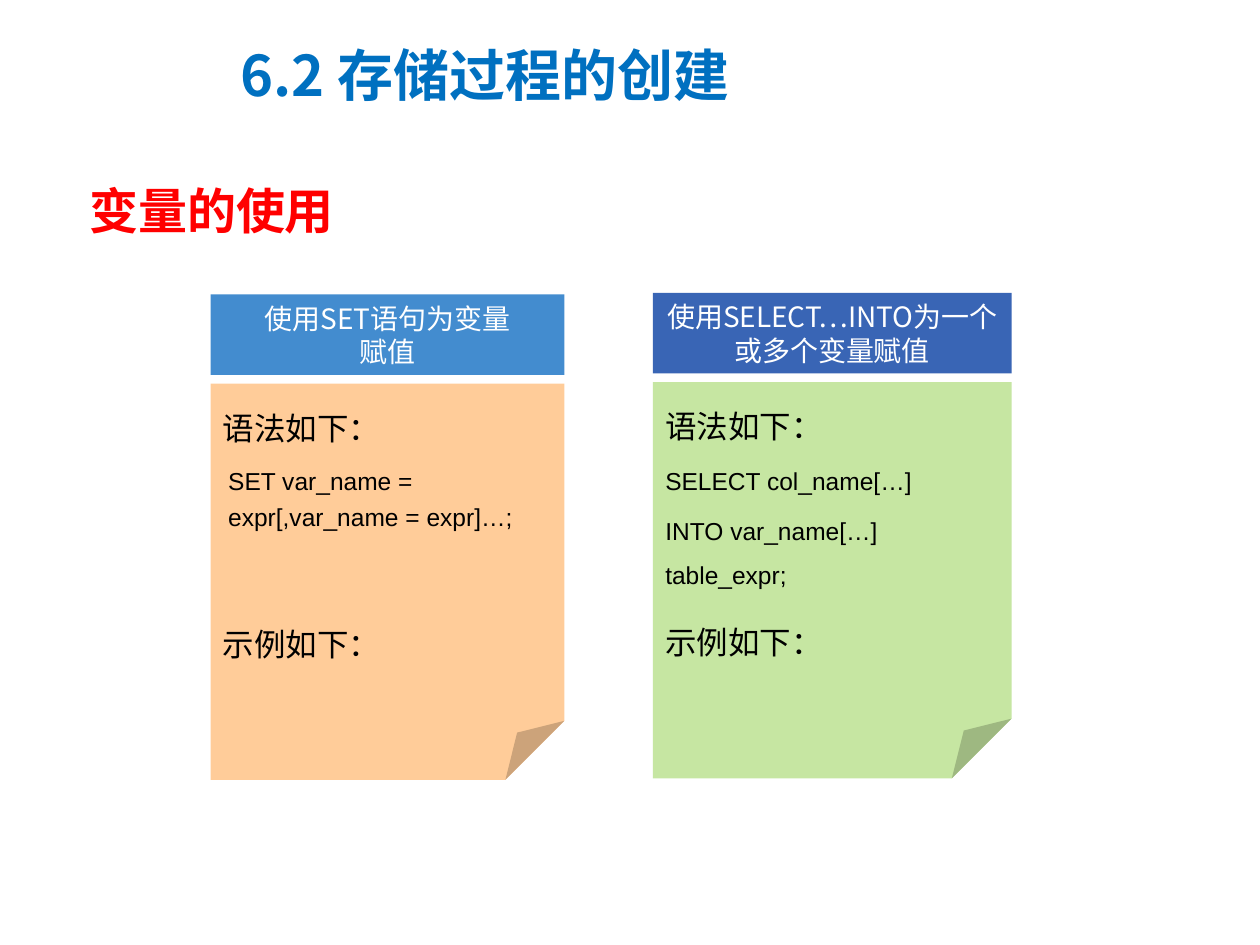
from lxml import etree
from pptx import Presentation
from pptx.dml.color import RGBColor
from pptx.enum.shapes import MSO_SHAPE
from pptx.enum.text import MSO_ANCHOR, PP_ALIGN
from pptx.oxml.ns import qn
from pptx.util import Pt

RECTANGLE, NOTE = MSO_SHAPE.RECTANGLE, MSO_SHAPE.FOLDED_CORNER
TOP, MIDDLE = MSO_ANCHOR.TOP, MSO_ANCHOR.MIDDLE
LEFT, CENTER = PP_ALIGN.LEFT, PP_ALIGN.CENTER
CJK, LATIN = "Noto Sans CJK SC", "Arial"

TITLE = "6.2 存储过程的创建"
SUBTITLE = "变量的使用"
NOTE_LINES = ["语法如下：", "示例如下："]
CARDS = [
    {"left": 120.3, "top": 168.2, "width": 202.2, "header_fill": "438CCF", "note_fill": "FFCC99",
     "header": ["使用SET语句为变量", "赋值"],
     "code": ["SET var_name =", "expr[,var_name = expr]…;"],
     "code_shift": 3, "code_top": 262.8, "code_spacing": 1.0},
    {"left": 373.1, "top": 167.4, "width": 205, "header_fill": "3965B5", "note_fill": "C6E6A2",
     "header": ["使用SELECT…INTO为一个或多个变量赋值"],
     "code": ["SELECT col_name[…]", "INTO var_name[…] table_expr;"],
     "code_shift": 0, "code_top": 254.2, "code_spacing": 1.5},
]
HEADER_HEIGHT, NOTE_OFFSET, NOTE_HEIGHT = 46, 51, 226.4


def color(value):
    return RGBColor.from_string(value)


def write(box, lines, font, paragraph_format=None, anchor=TOP, gap=0):
    """Fill a box with paragraphs; gap is the space before all but the first."""
    frame = box.text_frame
    frame.word_wrap = True
    frame.vertical_anchor = anchor
    for index, line in enumerate(lines):
        para = frame.add_paragraph() if index else frame.paragraphs[0]
        para.alignment = LEFT
        para.space_before = Pt(gap if index else 0)
        for name, value in (paragraph_format or {}).items():
            setattr(para, name, value)
        span = para.add_run()
        span.text = line
        for name, value in font.items():
            if name == "color":
                span.font.color.rgb = color(value)
            else:
                setattr(span.font, name, value)
        east_asian = etree.SubElement(span.font._element, qn("a:ea"))
        east_asian.set("typeface", font["name"])


def add_block(page, kind, left, top, width, height, fill):
    box = page.shapes.add_shape(kind, Pt(left), Pt(top), Pt(width), Pt(height))
    box.shadow.inherit = False
    box.fill.solid()
    box.fill.fore_color.rgb = color(fill)
    box.line.fill.background()
    return box


def add_text(page, left, top, width, height):
    return page.shapes.add_textbox(Pt(left), Pt(top), Pt(width), Pt(height))


def add_card(page, card):
    left, top, width = card["left"], card["top"], card["width"]
    header = add_block(page, RECTANGLE, left, top, width, HEADER_HEIGHT, card["header_fill"])
    write(header, card["header"], {"size": Pt(16), "name": CJK, "color": "FFFFFF"},
          {"alignment": CENTER}, MIDDLE)

    note = add_block(page, NOTE, left, top + NOTE_OFFSET, width, NOTE_HEIGHT, card["note_fill"])
    write(note, NOTE_LINES, {"size": Pt(18), "name": CJK, "color": "000000"},
          {"line_spacing": 1.5}, gap=91)

    shift = card["code_shift"]
    code = add_text(page, left + shift, card["code_top"], width - shift, 57)
    write(code, card["code"], {"size": Pt(14), "name": LATIN, "color": "000000"},
          {"line_spacing": card["code_spacing"]}, gap=3.5)


def main():
    deck = Presentation()
    deck.slide_width, deck.slide_height = Pt(720), Pt(540)
    page = deck.slides.add_slide(deck.slide_layouts[5])

    title = page.shapes.title
    title.left, title.top, title.width, title.height = Pt(130.3), Pt(14.4), Pt(476), Pt(61)
    write(title, [TITLE], {"size": Pt(32), "name": CJK, "color": "0070C0", "bold": True},
          {"line_spacing": 0.9}, MIDDLE)

    subtitle = add_text(page, 43.9, 82.8, 178.6, 53.3)
    write(subtitle, [SUBTITLE], {"size": Pt(28), "name": CJK, "color": "FF0000", "bold": True},
          {"line_spacing": 1.5})

    for card in CARDS:
        add_card(page, card)
    deck.save("out.pptx")


if __name__ == "__main__":
    main()
